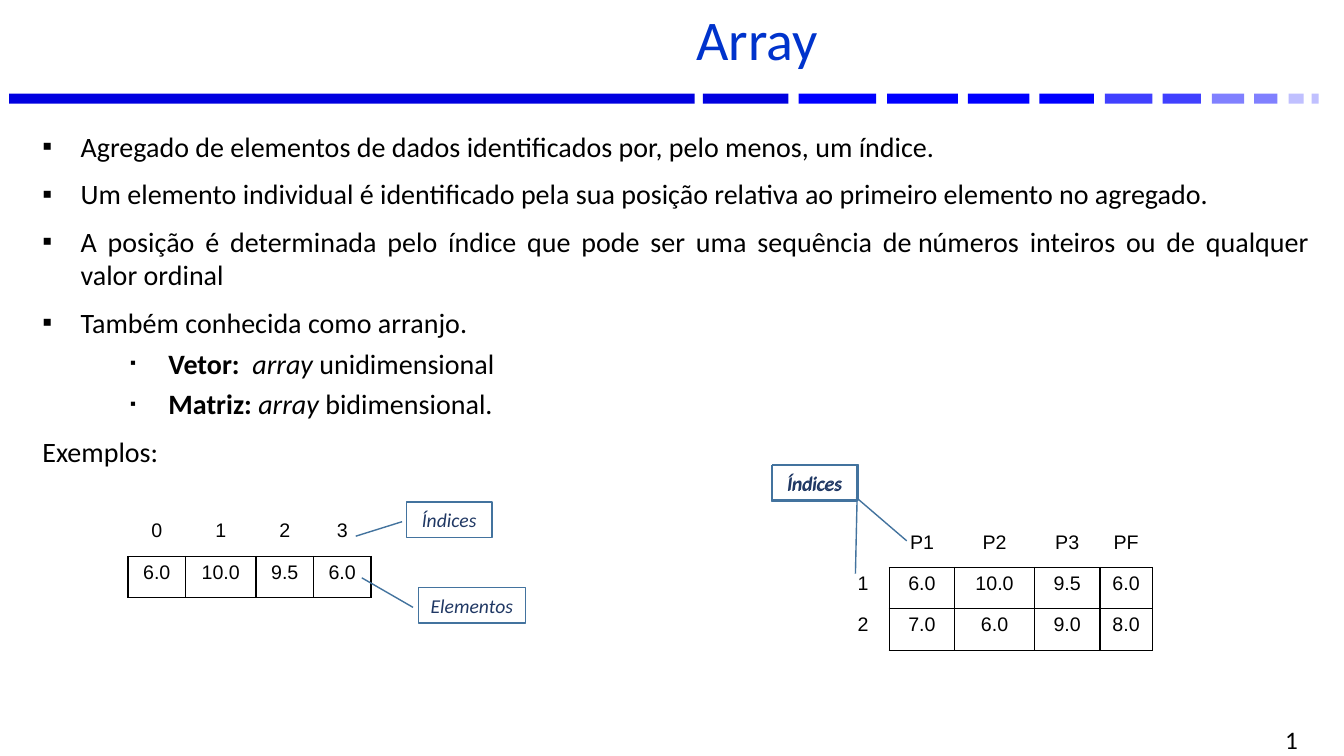
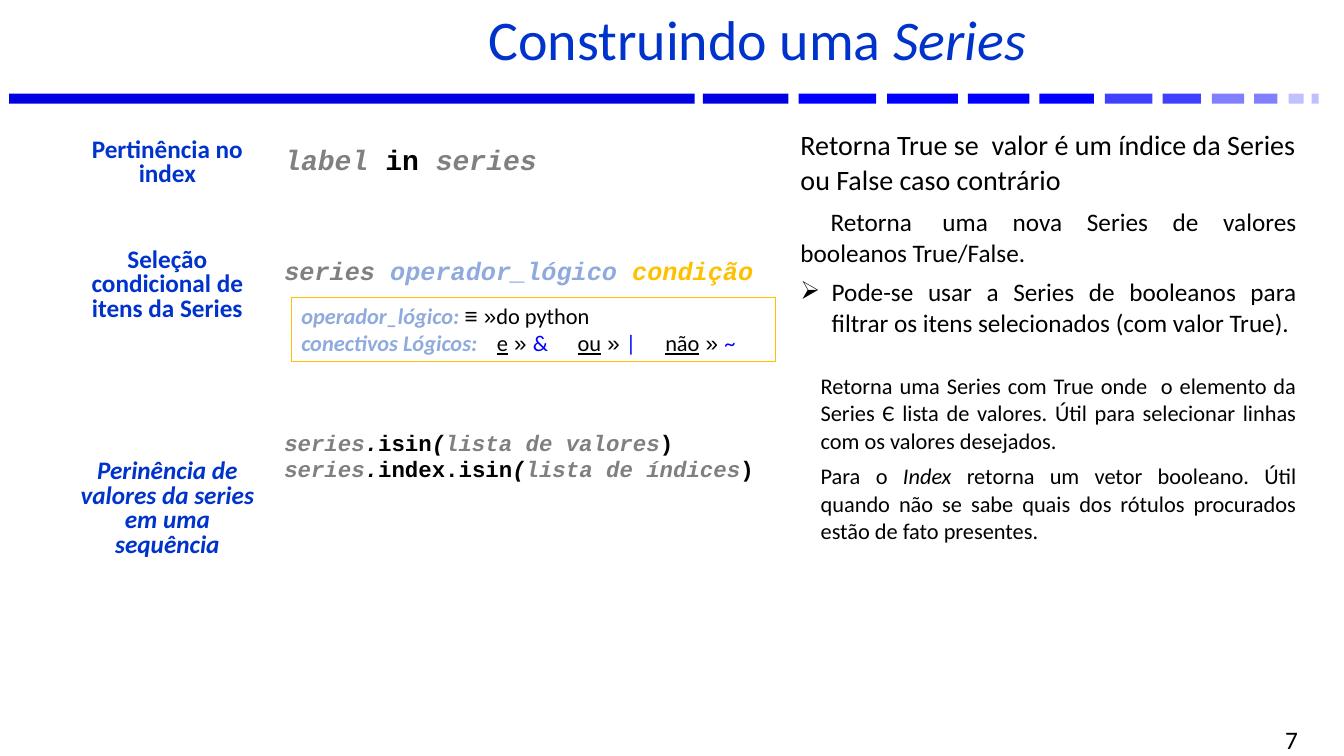
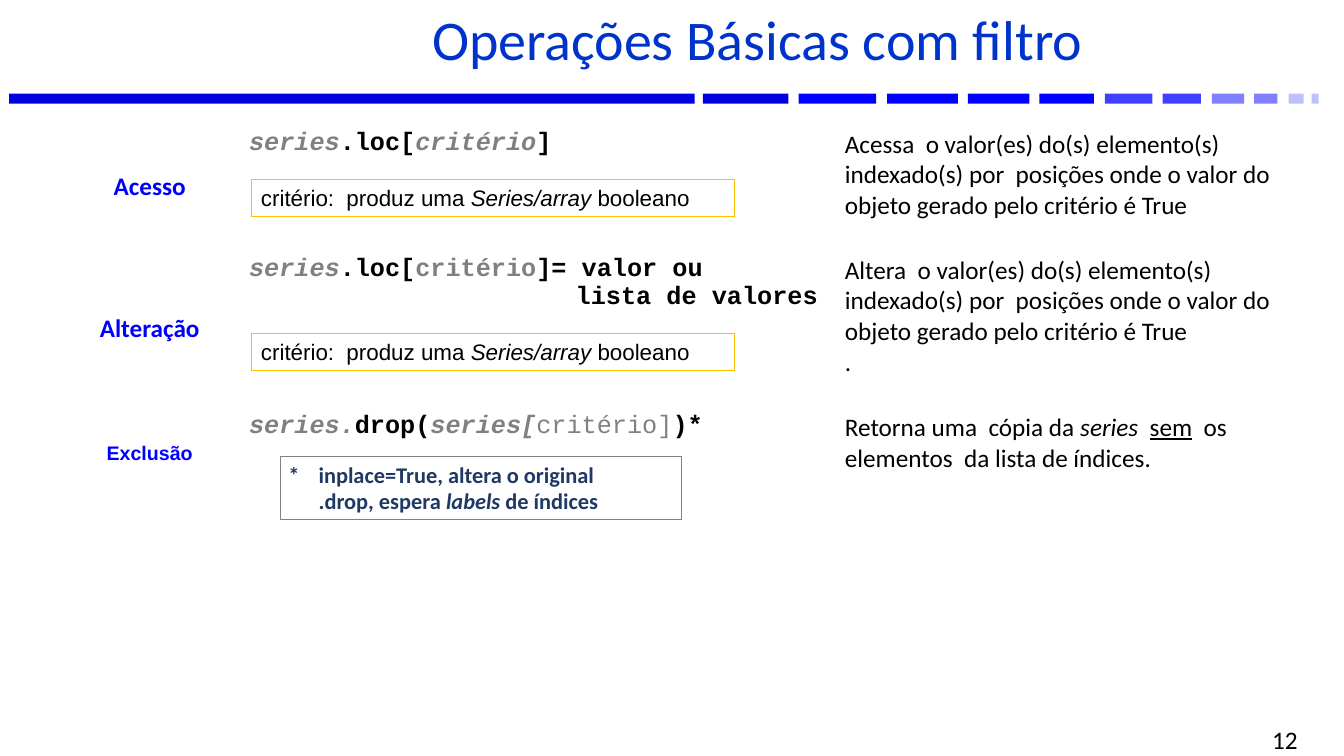
from dataclasses import dataclass

from lxml import etree
from pptx import Presentation
from pptx import util as u
from pptx.dml import color as dml
from pptx.enum import shapes, text
from pptx.oxml import ns

PX = 9144  # EMU per px: 100 px to the inch
NBSP = chr(160)  # no-break space
ALIGN = text.PP_ALIGN
MIDDLE = text.MSO_ANCHOR.MIDDLE
TOP = text.MSO_ANCHOR.TOP


# Theme: colours, fonts and type sizes
@dataclass(frozen=True)
class Theme:
    black: str = "000000"
    title: str = "0033CC"
    blue: str = "0000FF"
    navy: str = "203864"
    gray: str = "808080"
    operator: str = "8FAADC"
    amber: str = "FFC000"
    callout: str = "43739E"
    sans: str = "Calibri"
    plain: str = "Arial"
    mono: str = "Courier New"
    title_size: int = 40
    large: int = 20
    medium: int = 18
    small: int = 16
    tiny: int = 14


THEME = Theme()
BODY = dict(name=THEME.sans, color=THEME.black, size=THEME.medium)
LARGE = BODY | dict(size=THEME.large)
SMALL = BODY | dict(size=THEME.small)
CODE = dict(name=THEME.mono, color=THEME.black, size=THEME.medium, bold=True)
SMALL_CODE = CODE | dict(size=THEME.small)
LABEL = BODY | dict(color=THEME.title, bold=True)
BLUE_LABEL = LABEL | dict(color=THEME.blue)
DATA = dict(name=THEME.plain, color=THEME.black, size=THEME.tiny)
CRITERION = DATA | dict(size=THEME.small)
CALLOUT = dict(name=THEME.sans, color=THEME.navy, size=THEME.tiny, italic=True)
NOTE = dict(name=THEME.sans, color=THEME.navy, size=THEME.small, bold=True)
TITLE = dict(name=THEME.sans, color=THEME.title, size=THEME.title_size)

BOLD, ITALIC = dict(bold=True), dict(italic=True)
UNDERLINED, ARIAL = dict(underline=True), dict(name=THEME.plain)
BLUE, GRAY = dict(color=THEME.blue), dict(color=THEME.gray)
VARIABLE = GRAY | ITALIC
OPERATOR = dict(color=THEME.operator, bold=True, italic=True)

TIGHT = dict(alignment=ALIGN.CENTER, line_spacing=0.8, space_before=u.Pt(6))
CENTER = dict(alignment=ALIGN.CENTER)
JUSTIFY = dict(alignment=ALIGN.JUSTIFY)
SPACED = JUSTIFY | dict(space_before=u.Pt(6))

# Band under the title: left, width, colour
BAND = [(9, 680, "0000E0"), (697, 85, "0000E0"), (792, 77, "0000FF"),
        (880, 70, "0000FF"), (960, 61, "0000FF"), (1031, 54, "0000FF"),
        (1096, 47, "4040FF"), (1153, 38, "4040FF"), (1202, 32, "8080FF"),
        (1244, 23, "8080FF"), (1278, 15, "C0C0FF"), (1301, 7, "C0C0FF")]


# Text
def px(*lengths):
    return [length * PX for length in lengths]


def set_all(target, values):
    for name, value in values.items():
        setattr(target, name, value)


def line(runs, font, layout=None, margin=0, indent=0, bullet=None,
         bullet_size=None, tabs=(), level=0):
    """Describe one paragraph; a run is a string or (string, font changes)."""
    return dict(runs=[runs] if isinstance(runs, str) else runs, font=font,
                layout=layout or {}, margin=margin, indent=indent, bullet=bullet,
                bullet_size=bullet_size, tabs=tabs, level=level)


def add_xml(parent, tag, **attributes):
    return etree.SubElement(parent, ns.qn(tag), attributes)


def set_indents(paragraph, item):
    properties = paragraph._p.get_or_add_pPr()
    if item["tabs"]:  # an explicit indent would reset the tab stops
        stops = add_xml(properties, "a:tabLst")
        for stop in item["tabs"]:
            add_xml(stops, "a:tab", pos=str(stop * PX), algn="l")
        return
    properties.set("marL", str(item["margin"] * PX))
    properties.set("indent", str(item["indent"] * PX))
    if item["bullet_size"]:
        add_xml(properties, "a:buSzPct", val=str(item["bullet_size"] * 1000))
    if item["bullet"]:
        add_xml(properties, "a:buChar", char=item["bullet"])
    else:
        add_xml(properties, "a:buNone")


def set_font(font, values):
    values = dict(values)
    font.color.rgb = dml.RGBColor.from_string(values.pop("color"))
    values["size"] = u.Pt(values["size"])
    set_all(font, values)


def write(frame, lines):
    for index, item in enumerate(lines):
        paragraph = frame.add_paragraph() if index else frame.paragraphs[0]
        paragraph.level = item["level"]
        set_all(paragraph, dict(alignment=ALIGN.LEFT, space_before=u.Pt(0)) | item["layout"])
        set_indents(paragraph, item)
        for part in item["runs"]:
            words, changes = (part, {}) if isinstance(part, str) else part
            run = paragraph.add_run()
            run.text = words
            set_font(run.font, dict(bold=False, italic=False) | item["font"] | changes)


def fill_placeholder(placeholder, place, anchor, lines):
    set_all(placeholder, dict(zip(("left", "top", "width", "height"), px(*place))))
    set_all(placeholder.text_frame, dict(auto_size=text.MSO_AUTO_SIZE.NONE,
                                         vertical_anchor=anchor, word_wrap=True))
    write(placeholder.text_frame, lines)


# Shapes
def outlined(slide, kind, place, color, weight, lines, anchor=TOP, **frame_values):
    shape = slide.shapes.add_shape(kind, *px(*place))
    shape.shadow.inherit = False
    shape.fill.background()
    shape.line.color.rgb = dml.RGBColor.from_string(color)
    shape.line.width = u.Pt(weight)
    set_all(shape.text_frame, dict(word_wrap=True, vertical_anchor=anchor) | frame_values)
    write(shape.text_frame, lines)
    return shape


def box(slide, place, color, lines, **frame_values):
    outlined(slide, shapes.MSO_SHAPE.RECTANGLE, place, color, 0.75, lines, **frame_values)


def callout(slide, words, place, pointer):
    shape = outlined(slide, shapes.MSO_SHAPE.LINE_CALLOUT_1, place, THEME.callout, 1,
                     [line(words, CALLOUT, CENTER)], MIDDLE)
    for index, value in enumerate(pointer):
        shape.adjustments[index] = value


# Tables
def set_border(cell, side, visible):
    border = add_xml(cell._tc.get_or_add_tcPr(), f"a:ln{side}", w=str(u.Pt(1)))
    if visible:
        fill = add_xml(border, "a:solidFill")
        add_xml(fill, "a:srgbClr", val=THEME.black)
    else:
        add_xml(border, "a:noFill")


def add_table(slide, left, top, widths, heights, rows, framed_from=None):
    """Build a table; cells from (row, column) framed_from onwards get a frame."""
    def framed(row, column):
        return (framed_from is not None
                and framed_from[0] <= row < len(heights)
                and framed_from[1] <= column < len(widths))

    table = slide.shapes.add_table(len(heights), len(widths), *px(
        left, top, sum(widths), sum(heights))).table
    set_all(table, dict(first_row=False, horz_banding=False))
    for column, width in zip(table.columns, widths):
        column.width = width * PX
    for row, height in zip(table.rows, heights):
        row.height = height * PX
    for r, row in enumerate(rows):
        for c, content in enumerate(row):
            cell = table.cell(r, c)
            for side, dr, dc in (("L", 0, -1), ("R", 0, 1), ("T", -1, 0), ("B", 1, 0)):
                set_border(cell, side, framed(r, c) or framed(r + dr, c + dc))
            cell.fill.background()
            if content:
                lines, cell_values = content
                set_all(cell, cell_values)
                write(cell.text_frame, lines)
    return table


def data_table(slide, left, top, widths, rows, framed_from):
    cells = [[([line(value, DATA, CENTER)], {}) if value else None for value in row]
             for row in rows]
    add_table(slide, left, top, widths, [41] * len(rows), cells, framed_from)


def middle(*lines, **cell_values):
    return list(lines), dict(vertical_anchor=MIDDLE) | cell_values


def top(*lines):
    return list(lines), dict(vertical_anchor=TOP)


# Shared slide parts
def add_band(presentation, slide):
    """Draw the band once and hand it to the master."""
    band = slide.shapes.add_group_shape()
    for left, width, color in BAND:
        bar = band.shapes.add_shape(shapes.MSO_SHAPE.RECTANGLE, *px(left, 93, width, 10))
        bar.shadow.inherit = False
        bar.fill.solid()
        bar.fill.fore_color.rgb = dml.RGBColor.from_string(color)
        bar.line.fill.background()
    presentation.slide_master.shapes.element.append(band.element)


def new_slide(presentation, layout, title, number):
    slide = presentation.slides.add_slide(presentation.slide_layouts[layout])
    fill_placeholder(slide.shapes.title, (194, 6, 1114, 77), MIDDLE,
                     [line(title, TITLE, TIGHT)])
    page = slide.shapes.add_textbox(*px(986, 723, 311, 22))
    set_all(page.text_frame, dict(word_wrap=True, vertical_anchor=MIDDLE))
    write(page.text_frame, [line(number, BODY, dict(alignment=ALIGN.RIGHT))])
    return slide


# Slides
def array_slide(presentation):
    slide = new_slide(presentation, 1, "Array", "1")
    spaced = JUSTIFY | dict(space_before=u.Pt(10))
    points = [
        "Agregado de elementos de dados identificados por, pelo menos, um índice.",
        "Um elemento individual é identificado pela sua posição relativa ao primeiro "
        "elemento no agregado.",
        "A posição é determinada pelo índice que pode ser uma sequência "
        f"de{NBSP}números inteiros ou de qualquer valor{NBSP}ordinal",
        "Também conhecida como arranjo.",
    ]
    kinds = [("Vetor:  ", " unidimensional"), ("Matriz: ", " bidimensional.")]
    lines = [line(point, LARGE, spaced, 38, -38, "▪") for point in points]
    lines += [line([(name, BOLD), ("array", ITALIC), shape_of], LARGE,
                   JUSTIFY | dict(space_before=u.Pt(5)), 125, -38, "▪", 60, level=1)
              for name, shape_of in kinds]
    lines.append(line("Exemplos:", LARGE, dict(space_before=u.Pt(10))))
    fill_placeholder(slide.placeholders[1], (32, 123, 1277, 588), TOP, lines)

    data_table(slide, 127, 511, [57, 70, 57, 57],
               [["0", "1", "2", "3"], ["6.0", "10.0", "9.5", "6.0"]], (1, 0))
    data_table(slide, 830, 522, [52, 65, 79, 65, 52],
               [["", "P1", "P2", "P3", "PF"],
                ["1", "6.0", "10.0", "9.5", "6.0"],
                ["2", "7.0", "6.0", "9.0", "8.0"]], (1, 1))

    callout(slide, "Índices", (403, 498, 85, 35), (0.56, -0.05, 0.97, -0.59))
    callout(slide, "Elementos", (415, 583, 106, 35), (0.56, -0.05, -0.28, -0.53))
    callout(slide, "Índices", (765, 462, 85, 35), (0.9, 0.99, 2.13, 1.58))
    callout(slide, "Índices", (766, 461, 85, 35), (0.9, 0.99, 3.09, 0.97))
    return slide


def series_slide(presentation):
    slide = new_slide(presentation, 5, ["Construindo uma ", ("Series", ITALIC)], "7")

    def isin_call(method, argument):
        return line([("series", VARIABLE), (".", ITALIC), method, ("(", ITALIC),
                     (argument, VARIABLE), ")"], SMALL_CODE)

    rows = [
        [middle(line("Pertinência no index", LABEL, TIGHT)),
         middle(line([("label ", VARIABLE), "in ", ("series", VARIABLE)],
                     CODE | dict(size=THEME.large))),
         middle(line("Retorna True se  valor é um índice da Series ou False caso "
                     "contrário", LARGE))],
        [middle(line("Seleção condicional de itens da Series", LABEL, TIGHT)),
         middle(line([("series ", VARIABLE), ("operador_lógico ", OPERATOR),
                      ("condição", ITALIC | dict(color=THEME.amber))], CODE),
                margin_bottom=28 * PX),
         middle(line(f"Retorna {NBSP}uma nova Series de valores booleanos True/False.",
                     BODY, SPACED, 0, 30),
                line("Pode-se usar a Series de booleanos para filtrar os itens "
                     "selecionados (com valor True).", BODY, SPACED, 31, -31, "➢"),
                margin_bottom=28 * PX)],
        [middle(line("Perinência de valores da series em uma sequência",
                     LABEL | ITALIC, TIGHT)),
         middle(isin_call("isin", "lista de valores"),
                isin_call("index.isin", "lista de índices")),
         middle(line("Retorna uma Series com True onde  o elemento da Series Є lista de "
                     "valores. Útil para selecionar linhas com os valores desejados.",
                     SMALL, JUSTIFY, 20),
                line(["Para o ", ("Index ", ITALIC), "retorna um vetor booleano. Útil "
                      "quando não se sabe quais dos rótulos procurados estão de fato "
                      "presentes."], SMALL, SPACED, 20))],
        [None, None, None],
    ]
    table = add_table(slide, 60, 123, [212, 512, 512], [78, 164, 180, 100], rows)
    table.cell(2, 0).merge(table.cell(3, 0))

    arrow = (" » ", ARIAL)
    box(slide, (289, 295, 480, 64), THEME.amber, [
        line([("operador_lógico: ", OPERATOR), ("≡ »", ARIAL), "do python"], SMALL),
        line([("conectivos Lógicos:\t", OPERATOR),
              ("e", UNDERLINED), arrow, ("&\t", BLUE),
              ("ou", UNDERLINED), arrow, ("|\t", BLUE),
              ("não", UNDERLINED), arrow, ("~", BLUE)], SMALL, tabs=(194, 274, 361)),
    ], auto_size=text.MSO_AUTO_SIZE.SHAPE_TO_FIT_TEXT, margin_right=0)


def filter_slide(presentation):
    slide = new_slide(presentation, 5, "Operações Básicas com filtro", "12")
    effect = ("  o valor(es) do(s) elemento(s) indexado(s) por  posições onde o valor do "
              "objeto gerado pelo critério é True")
    rows = [
        [middle(line("Acesso", BLUE_LABEL, CENTER)),
         top(line([("series", VARIABLE), ".loc[", ("critério", VARIABLE), "]"], CODE)),
         top(line("Acessa" + effect, BODY))],
        [middle(line("Alteração", BLUE_LABEL, CENTER)),
         top(line([("series", VARIABLE), ".loc[", ("critério", GRAY), "]= valor ou"],
                  CODE, None, 324, -324),
             line("lista de valores", CODE, None, 324)),
         top(line("Altera" + effect, BODY), line(".", BODY))],
        [middle(line("Exclusão", DATA | BLUE | BOLD, CENTER)),
         top(line([("series.", VARIABLE), "drop(", ("series[", VARIABLE),
                   ("critério]", GRAY | dict(bold=False)), ")*"], CODE)),
         top(line(["Retorna uma  cópia da ", ("series  ", ITALIC), ("sem", UNDERLINED),
                   ("  ", ITALIC), "os elementos  da lista de índices."], BODY))],
    ]
    add_table(slide, 60, 123, [177, 591, 468], [125, 156, 93], rows)

    grow = text.MSO_AUTO_SIZE.SHAPE_TO_FIT_TEXT
    for y in (178, 331):
        box(slide, (249, y, 480, 37), THEME.amber, [
            line(["critério:  produz uma ", ("Series/array", ITALIC), " booleano"],
                 CRITERION)], auto_size=grow)
    insets = dict(margin_left=8 * PX, margin_right=8 * PX,
                  margin_top=4 * PX, margin_bottom=4 * PX)
    box(slide, (278, 453, 398, 62), THEME.gray, [
        line("*\tinplace=True, altera o original", NOTE, None, 30, -30),
        line([".drop, espera ", ("labels", ITALIC), " de índices"], NOTE, None, 30),
    ], auto_size=grow, **insets)


def main():
    presentation = Presentation()
    set_all(presentation, dict(slide_width=1333 * PX, slide_height=750 * PX))
    first = array_slide(presentation)
    add_band(presentation, first)
    series_slide(presentation)
    filter_slide(presentation)
    presentation.save("out.pptx")


if __name__ == "__main__":
    main()
